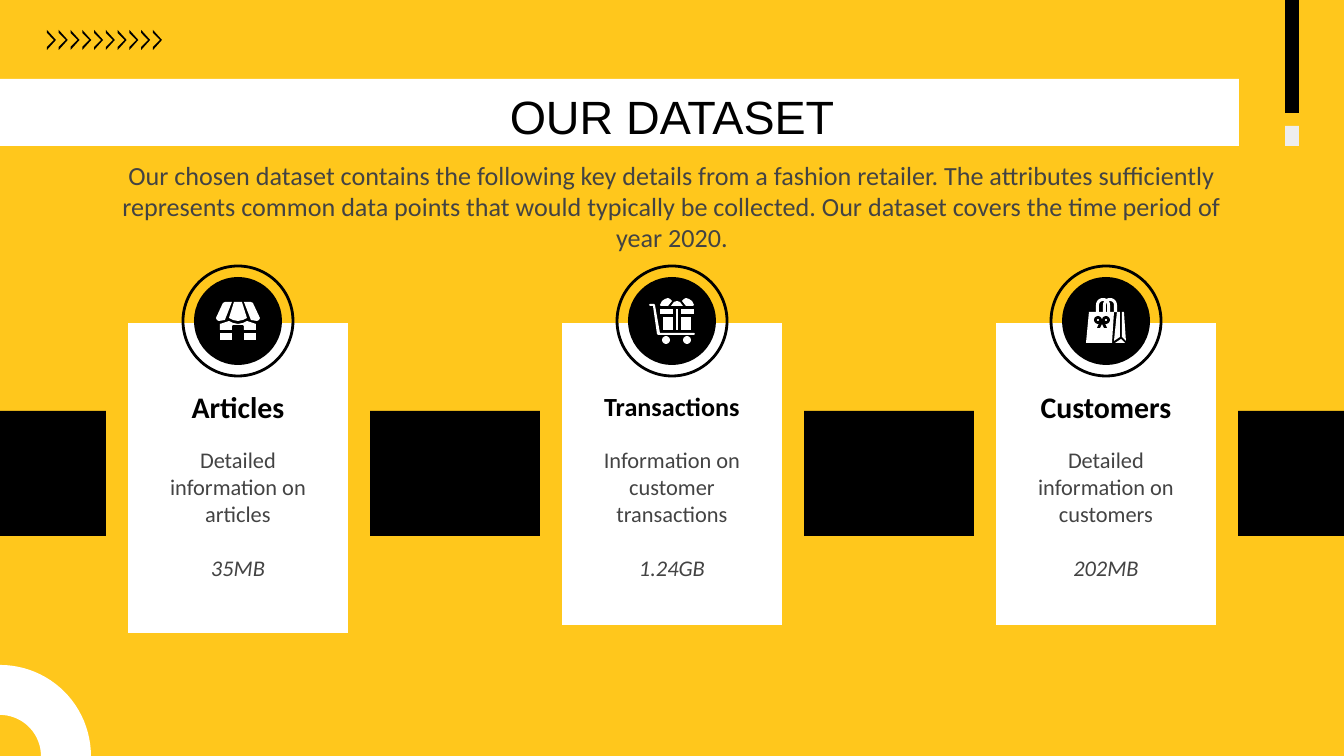
from math import cos, pi, sin

from pptx import Presentation
from pptx.dml.color import RGBColor as Rgb
from pptx.enum.shapes import MSO_SHAPE as Shape
from pptx.enum.text import MSO_ANCHOR as Anchor, MSO_AUTO_SIZE as AutoSize, PP_ALIGN as Align
from pptx.util import Pt

PX = 914400 / 134.4
SLIDE_WIDTH, SLIDE_HEIGHT = 1344, 756
FINE = 100
INSET = 13


class Theme:
    yellow = Rgb.from_string("FFC71C")
    white = Rgb.from_string("FFFFFF")
    black = Rgb.from_string("000000")
    gray = Rgb.from_string("434343")
    pale = Rgb.from_string("EEEEEE")
    title = {"name": "Arial", "size": Pt(25), "bold": False}
    intro = {"name": "Calibri", "size": Pt(14)}
    heading = {"name": "Calibri", "size": Pt(16), "bold": True}
    small_heading = {**heading, "size": Pt(14)}
    detail = {"name": "Calibri", "size": Pt(12)}
    file_size = {**detail, "italic": True}
    paragraph_gap = Pt(14.6)
    card_border = Pt(12)
    ring_line = Pt(1.5)


CARD_CENTERS = [SLIDE_WIDTH // 2 + 434 * step for step in (-1, 0, 1)]
CARDS = [
    ("Articles", Theme.heading, "Detailed information on articles", "35MB", 332),
    ("Transactions", Theme.small_heading, "Information on customer transactions", "1.24GB", 324),
    ("Customers", Theme.heading, "Detailed information on customers", "202MB", 324),
]


def emu(pixels):
    return round(pixels * PX)


def rectangle(left, top, right, bottom):
    return [(left, top), (right, top), (right, bottom), (left, bottom)]


def mirrored(points, axis=0):
    return [(2 * axis - x, y) for x, y in points]


def arc(center_x, center_y, radius, start, end, steps=24):
    angles = [start + (end - start) * step / steps for step in range(steps + 1)]
    return [(center_x + radius * cos(a), center_y + radius * sin(a)) for a in angles]


def handle(center_x):
    outer = arc(center_x, -16, 7, pi, 2 * pi)
    inner = arc(center_x, -16, 4, 2 * pi, pi)
    return [(center_x - 7, -9), *outer, (center_x + 7, -9),
            (center_x + 4, -9), *inner, (center_x - 4, -9)]


def shop_icon():
    awning = [(-13, -19), (-15, -18), (-22, -3), (-21, -1), (-19, 0), (-13, -1), (-6, -19)]
    base = rectangle(-18, 12, -6, 19)
    wall = [(-9, 0), (-18, 3), (-18, 9), (-6, 9), (-6, 5), (-5, 4), (5, 4), (6, 5),
            (6, 9), (18, 9), (18, 3), (9, 0), (5, 2), (0, 3), (-5, 2)]
    middle = [(-4, -19), (-9, -3), (-5, -1), (0, 0), (5, -1), (9, -3), (4, -19)]
    white = [awning, mirrored(awning), base, mirrored(base), wall, middle]
    return [(points, Theme.white) for points in white], []


def cart_icon():
    gift_axis = 5
    frame = [(-22, -17), (-23, -16), (-22, -15), (-19, -15), (-15, 13), (-14, 14), (22, 14),
             (23, 13), (22, 12), (-12, 12), (-17, -16), (-18, -17)]
    bow = [(-4, -23), (-7, -22), (-10, -20), (-12, -16), (-11, -15), (-4, -15), (0, -20), (-2, -22)]
    knot = [(-1, -15), (2, -19), (5, -20), (8, -19), (11, -15)]
    halves = [bow, rectangle(-12, -12, 1, -7), rectangle(-9, -4, 1, 9)]
    white = [frame, knot, rectangle(4, -12, 6, 9), *halves]
    white += [mirrored(half, gift_axis) for half in halves]
    wheels = [(x, 19, 4, Theme.white) for x in (-6, 15)]
    return [(points, Theme.white) for points in white], wheels


def bag_icon():
    body = [(-17, -9), (8, -9), (6, 22), (-20, 22)]
    sides = [[(16, -9), (18, -9), (20, 20), (16, 16)],
             [(11, -9), (14, -9), (14, 16), (8, 20)],
             [(15, 18), (9, 22), (19, 22)]]
    tails = [(-6, 0), (-9, 7), (-6, 7), (-4, 3), (-2, 7), (1, 7), (-2, 0)]
    outlines = [(points, Theme.white) for points in (body, *sides, handle(-3), handle(4))]
    loops = [(x, -1, radius, color) for x in (-8, 0)
             for radius, color in ((4, Theme.black), (1, Theme.white))]
    return [*outlines, (tails, Theme.black)], loops


def paint(shape, fill=None, line=None, line_width=None):
    shape.shadow.inherit = False
    if fill is None:
        shape.fill.background()
    else:
        shape.fill.solid()
        shape.fill.fore_color.rgb = fill
    if line is None:
        shape.line.fill.background()
    else:
        shape.line.color.rgb = line
        shape.line.width = line_width


def add_preset(shapes, kind, left, top, width, height, **style):
    paint(shapes.add_shape(kind, *map(emu, (left, top, width, height))), **style)


def add_disc(shapes, center_x, center_y, radius, **style):
    add_preset(shapes, Shape.OVAL, center_x - radius, center_y - radius,
               2 * radius, 2 * radius, **style)


def add_outline(shapes, points, color, center_x=0, center_y=0):
    fine = [((center_x + x) * FINE, (center_y + y) * FINE) for x, y in points]
    builder = shapes.build_freeform(*fine[0], scale=PX / FINE)
    builder.add_line_segments(fine[1:], close=True)
    paint(builder.convert_to_shape(), fill=color)


def write(box, lines, anchor=Anchor.TOP):
    frame = box.text_frame
    layout = {"word_wrap": True, "auto_size": AutoSize.NONE, "vertical_anchor": anchor}
    layout.update({f"margin_{side}": emu(INSET) for side in ("left", "top", "right", "bottom")})
    for name, value in layout.items():
        setattr(frame, name, value)
    for index, (text, style, color) in enumerate(lines):
        para = frame.add_paragraph() if index else frame.paragraphs[0]
        para.alignment = Align.CENTER
        if index:
            para.space_before = Theme.paragraph_gap
        span = para.add_run()
        span.text = text
        for name, value in style.items():
            setattr(span.font, name, value)
        span.font.color.rgb = color


def add_text(shapes, left, top, width, height, lines, anchor=Anchor.TOP):
    write(shapes.add_textbox(*map(emu, (left, top, width, height))), lines, anchor)


def add_title(slide, text):
    title = slide.shapes.title
    title.left, title.top, title.width, title.height = map(emu, (105, 79, 1134, 73))
    title.element.getparent().append(title.element)
    write(title, [(text, Theme.title, Theme.black)], Anchor.MIDDLE)


def add_decoration(shapes):
    add_preset(shapes, Shape.RECTANGLE, 0, 79, 1239, 67, fill=Theme.white)
    add_preset(shapes, Shape.RECTANGLE, 1285, 0, 14, 113, fill=Theme.black)
    add_preset(shapes, Shape.RECTANGLE, 1285, 126, 14, 20, fill=Theme.pale)
    chevron = [(0, 50), (9, 40), (0, 30), (0, 33), (7, 40), (0, 47)]
    chevrons = shapes.add_group_shape().shapes
    for index in range(10):
        add_outline(chevrons, chevron, Theme.black, 47 + index * 106 / 9)
    quarter_ring = arc(0, SLIDE_HEIGHT, 91, -pi / 2, 0) + arc(0, SLIDE_HEIGHT, 41, 0, -pi / 2)
    add_outline(shapes, quarter_ring, Theme.white)
    add_preset(shapes, Shape.RECTANGLE, 0, 411, SLIDE_WIDTH, 125, fill=Theme.black)


def add_badge(shapes, center_x, icon):
    center_y = 321
    badge = shapes.add_group_shape().shapes
    add_disc(badge, center_x, center_y, 55, line=Theme.black, line_width=Theme.ring_line)
    add_disc(badge, center_x, center_y, 44, fill=Theme.black)
    outlines, discs = icon
    drawing = shapes.add_group_shape().shapes
    for points, color in outlines:
        add_outline(drawing, points, color, center_x, center_y)
    for x, y, radius, color in discs:
        add_disc(drawing, center_x + x, center_y + y, radius, fill=color)


def add_card(shapes, center_x, card, icon):
    heading, heading_style, detail, file_size, height = card
    add_preset(shapes, Shape.RECTANGLE, center_x - 121, 312, 242, height,
               fill=Theme.white, line=Theme.yellow, line_width=Theme.card_border)
    add_badge(shapes, center_x, icon)
    add_text(shapes, center_x - 102, 380, 204, 53,
             [(heading, heading_style, Theme.black)], Anchor.MIDDLE)
    add_text(shapes, center_x - 102, 433, 204, 110,
             [(detail, Theme.detail, Theme.gray), (file_size, Theme.file_size, Theme.gray)])


def main():
    deck = Presentation()
    deck.slide_width, deck.slide_height = emu(SLIDE_WIDTH), emu(SLIDE_HEIGHT)
    page = deck.slides.add_slide(deck.slide_layouts.get_by_name("Title Only"))
    page.background.fill.solid()
    page.background.fill.fore_color.rgb = Theme.yellow
    add_decoration(page.shapes)
    add_title(page, "OUR DATASET")
    intro = ("Our chosen dataset contains the following key details from a fashion retailer. "
             "The attributes sufficiently represents common data points that would typically "
             "be collected. Our dataset covers the time period of year 2020.")
    add_text(page.shapes, 105, 146, 1134, 100, [(intro, Theme.intro, Theme.gray)])
    for center_x, card, icon in zip(CARD_CENTERS, CARDS, (shop_icon(), cart_icon(), bag_icon())):
        add_card(page.shapes, center_x, card, icon)
    deck.save("out.pptx")


if __name__ == "__main__":
    main()
